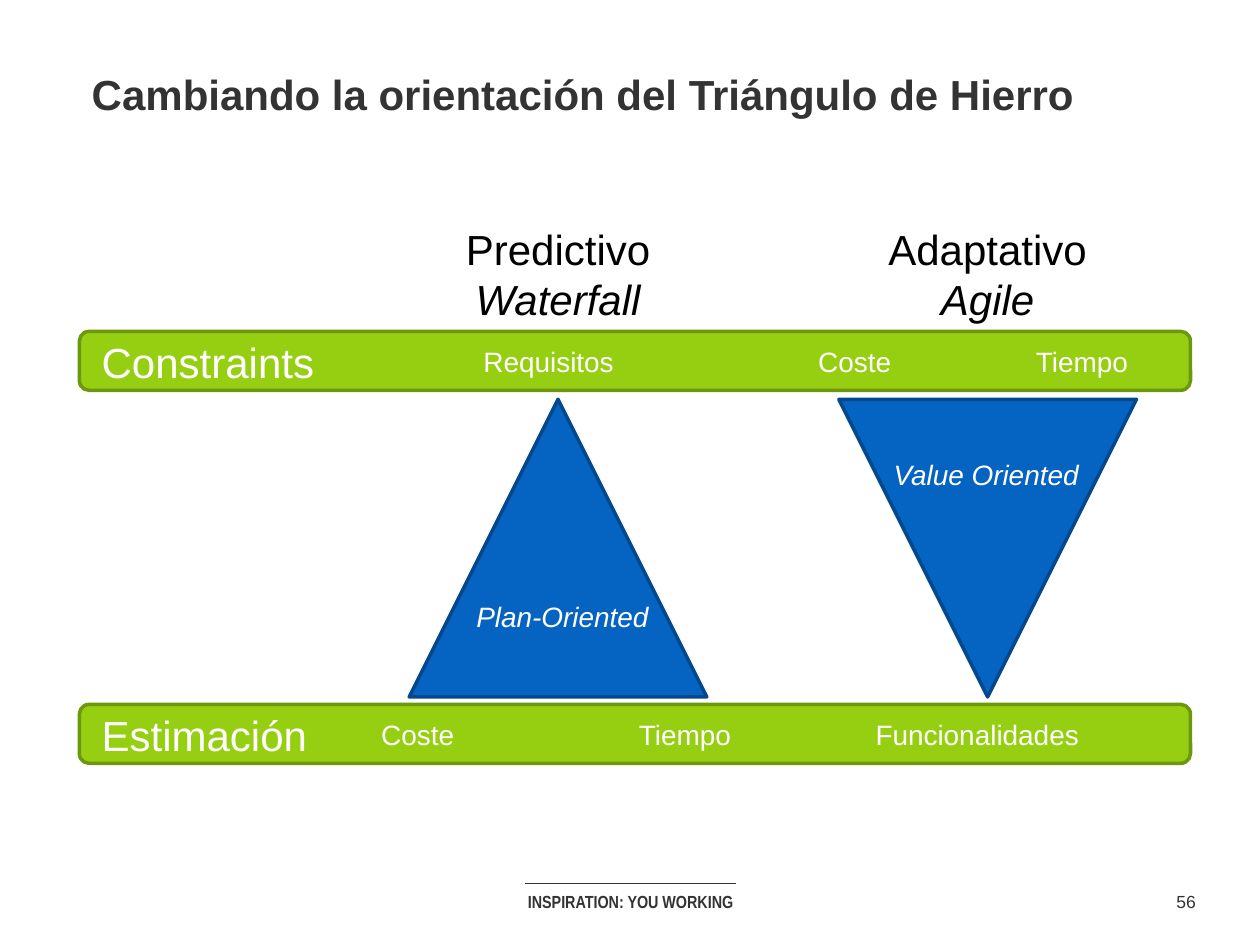
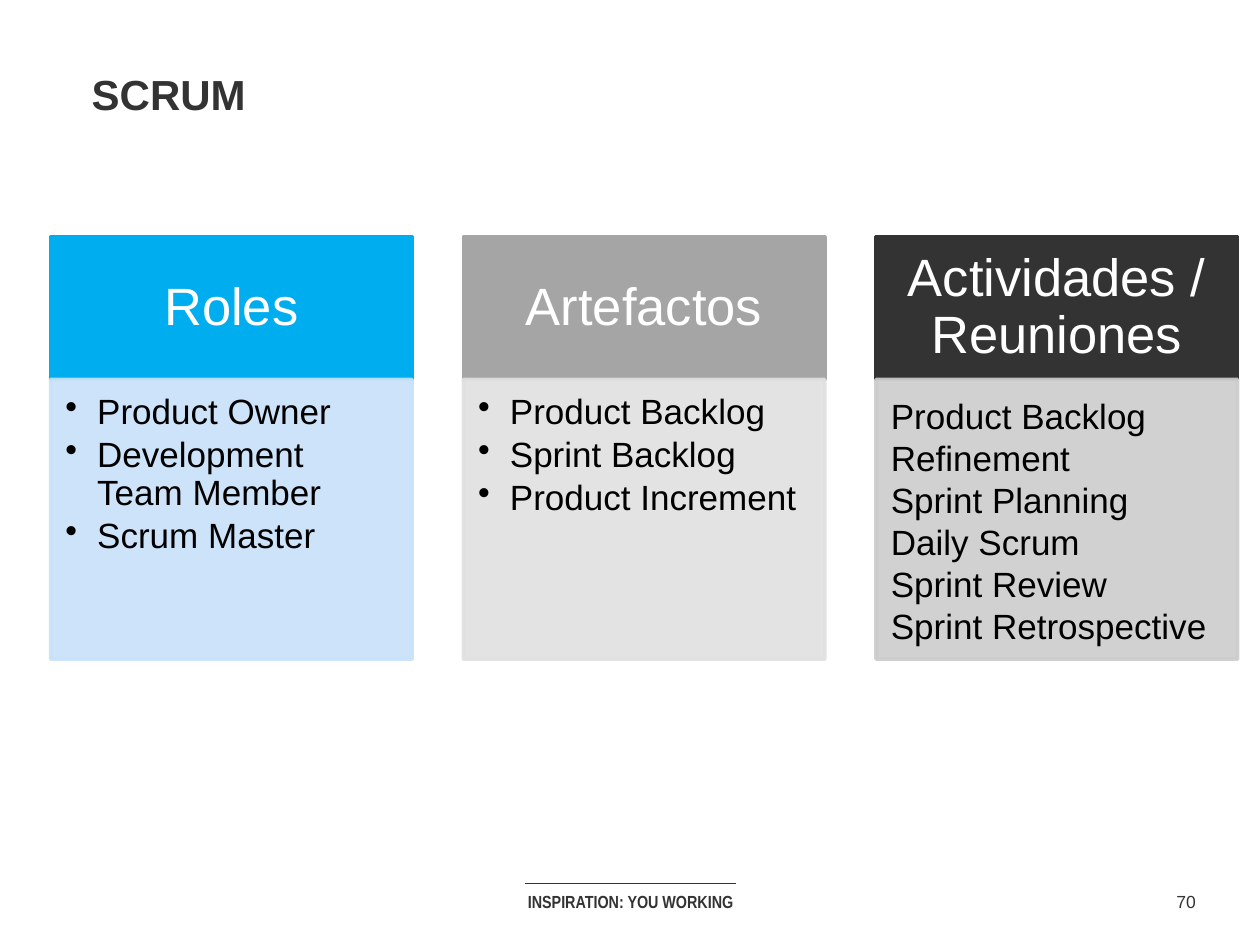
import pptx
import pptx.dml.color
import pptx.enum.shapes
import pptx.enum.text
import pptx.oxml
import pptx.oxml.ns
import pptx.util

Cm, Pt = pptx.util.Cm, pptx.util.Pt
RGBColor = pptx.dml.color.RGBColor
SHAPE = pptx.enum.shapes.MSO_SHAPE
ALIGN = pptx.enum.text.PP_ALIGN
ANCHOR = pptx.enum.text.MSO_ANCHOR
NS = pptx.oxml.ns.nsdecls("a")

# Colours
INK = RGBColor(0x33, 0x33, 0x33)
BLACK = RGBColor(0x00, 0x00, 0x00)
WHITE = RGBColor(0xFF, 0xFF, 0xFF)
GREEN = RGBColor(0x96, 0xCF, 0x12)
DARK_GREEN = RGBColor(0x6D, 0x97, 0x0D)
BLUE = RGBColor(0x05, 0x63, 0xC1)
DARK_BLUE = RGBColor(0x03, 0x48, 0x8C)
SKY = RGBColor(0x00, 0xAD, 0xEF)
PALE_SKY = RGBColor(0xC8, 0xE1, 0xF9)
GREY = RGBColor(0xA5, 0xA5, 0xA5)
PALE_GREY = RGBColor(0xE0, 0xE0, 0xE0)
MID_GREY = RGBColor(0xCC, 0xCC, 0xCC)

# Content; lengths in cm
FOOTER = "INSPIRATION: YOU WORKING"

TRIANGLE_TITLE, TRIANGLE_PAGE = "Cambiando la orientación del Triángulo de Hierro", 56
BARS = [  # name, top, labels as (text, centre, width)
    ("Constraints", 6.68, [("Requisitos", 11.06, 3.28), ("Coste", 17.23, 2.06),
                           ("Tiempo", 21.81, 2.46)]),
    ("Estimación", 14.2, [("Coste", 8.42, 2.06), ("Tiempo", 13.81, 2.46),
                          ("Funcionalidades", 19.7, 4.75)]),
]
APPROACHES = [  # heading, method, centre, rotation, orientation as (text, centre, top)
    ("Predictivo", "Waterfall", 11.25, 0, ("Plan-Oriented", 11.34, 11.96)),
    ("Adaptativo", "Agile", 19.91, 180, ("Value Oriented", 19.88, 9.09)),
]

SCRUM_TITLE, SCRUM_PAGE = "SCRUM", 70
CARDS = [  # heading, colour, body colour, bulleted, items
    ("Roles", SKY, PALE_SKY, True,
     ["Product Owner", "Development Team Member", "Scrum Master"]),
    ("Artefactos", GREY, PALE_GREY, True,
     ["Product Backlog", "Sprint Backlog", "Product Increment"]),
    ("Actividades / Reuniones", INK, MID_GREY, False,
     ["Product Backlog Refinement", "Sprint Planning", "Daily Scrum",
      "Sprint Review", "Sprint Retrospective"]),
]

# Sizes in cm
BAR_LEFT, BAR_WIDTH, BAR_HEIGHT = 1.6, 22.4, 1.19
LABEL_HEIGHT = 0.94
TRIANGLE_TOP, TRIANGLE_SIZE = 8.05, 6
CARD_LEFT, CARD_TOP, CARD_WIDTH, CARD_STEP = 1.02, 4.78, 7.29, 8.32
HEAD_HEIGHT, BODY_HEIGHT = 2.87, 5.64


def write(frame, lines, size=16, color=WHITE, font="Arial", bold=False, italics=(),
          align=ALIGN.CENTER, anchor=ANCHOR.TOP, insets=(0.25, 0.13, 0.25, 0.13),
          wrap=True, spacing=None, gap=0, bullet=False):
    """Fill a text frame, one paragraph a line; italics lists the slanted lines."""
    frame.word_wrap = wrap
    frame.vertical_anchor = anchor
    (frame.margin_left, frame.margin_top,
     frame.margin_right, frame.margin_bottom) = map(Cm, insets)
    for index, line in enumerate(lines):
        paragraph = frame.paragraphs[0] if index == 0 else frame.add_paragraph()
        paragraph.alignment = align
        if spacing:
            paragraph.line_spacing = spacing
        if index and gap:
            paragraph.space_before = Pt(gap)
        if bullet:
            properties = paragraph._p.get_or_add_pPr()
            properties.set("marL", str(Cm(0.64)))
            properties.set("indent", str(-Cm(0.64)))
            properties.append(pptx.oxml.parse_xml(f'<a:buChar {NS} char="•"/>'))
        run = paragraph.add_run()
        run.text = line
        run.font.name, run.font.size, run.font.bold = font, Pt(size), bold
        run.font.italic = index in italics
        run.font.color.rgb = color


def add_text(slide, left, top, width, height, *lines, **style):
    box = slide.shapes.add_textbox(Cm(left), Cm(top), Cm(width), Cm(height))
    write(box.text_frame, lines, **style)


def add_label(slide, text, centre, top, width, **style):
    add_text(slide, centre - width / 2, top, width, LABEL_HEIGHT, text,
             wrap=False, **style)


def add_block(slide, kind, left, top, width, height, fill, line, opacity=100):
    block = slide.shapes.add_shape(kind, Cm(left), Cm(top), Cm(width), Cm(height))
    block.shadow.inherit = False
    block.fill.solid()
    block.fill.fore_color.rgb = fill
    block.line.color.rgb = line
    block.line.width = Pt(2)
    if opacity < 100:
        for color in block._element.spPr.iter(pptx.oxml.ns.qn("a:srgbClr")):
            color.append(pptx.oxml.parse_xml(f'<a:alpha {NS} val="{opacity * 1000}"/>'))
    return block


def add_slide(deck, title, page):
    """Blank slide with the shared title, footer and page number."""
    slide = deck.slides.add_slide(deck.slide_layouts[6])
    add_text(slide, 9.32, 17.83, 6.78, 0.69, FOOTER, size=10, color=INK,
             font="Arial Narrow", bold=True)
    rule = slide.shapes.add_connector(pptx.enum.shapes.MSO_CONNECTOR.STRAIGHT,
                                      Cm(10.59), Cm(17.81), Cm(14.83), Cm(17.81))
    rule.line.color.rgb = INK
    rule.line.width = Pt(0.75)
    rule._element.spPr.append(pptx.oxml.parse_xml(f"<a:effectLst {NS}/>"))
    add_text(slide, 23.44, 17.83, 0.94, 0.69, str(page), size=10, color=INK, wrap=False)
    add_text(slide, 1.6, 1.14, 22.23, 1.55, title, size=24, color=INK, bold=True,
             align=ALIGN.LEFT, insets=(0.25,) * 4)
    return slide


def build_triangles(deck):
    slide = add_slide(deck, TRIANGLE_TITLE, TRIANGLE_PAGE)
    # Green bars with their labels
    for name, top, labels in BARS:
        add_block(slide, SHAPE.ROUNDED_RECTANGLE, BAR_LEFT, top, BAR_WIDTH, BAR_HEIGHT,
                  GREEN, DARK_GREEN)
        add_text(slide, BAR_LEFT + 0.2, top - 0.03, 4.85, 1.27, name, size=24,
                 align=ALIGN.LEFT)
        for text, centre, width in labels:
            add_label(slide, text, centre, top + 0.13, width)
    # Headings and triangles
    for heading, method, centre, rotation, (text, text_centre, text_top) in APPROACHES:
        triangle = add_block(slide, SHAPE.ISOSCELES_TRIANGLE, centre - TRIANGLE_SIZE / 2,
                             TRIANGLE_TOP, TRIANGLE_SIZE, TRIANGLE_SIZE, BLUE, DARK_BLUE)
        triangle.rotation = rotation
        add_text(slide, centre - 2.3, 4.37, 4.6, 2.31, heading, method, size=24,
                 color=BLACK, italics=[1])
        add_label(slide, text, text_centre, text_top, 4.3, italics=[0])


def build_scrum(deck):
    slide = add_slide(deck, SCRUM_TITLE, SCRUM_PAGE)
    for index, (heading, color, body_color, bulleted, items) in enumerate(CARDS):
        left = CARD_LEFT + index * CARD_STEP
        head = add_block(slide, SHAPE.RECTANGLE, left, CARD_TOP, CARD_WIDTH, HEAD_HEIGHT,
                         color, color)
        write(head.text_frame, [heading], size=30, anchor=ANCHOR.MIDDLE, spacing=0.9,
              insets=(0.58, 0.33, 0.58, 0.33))
        body = add_block(slide, SHAPE.RECTANGLE, left, CARD_TOP + HEAD_HEIGHT, CARD_WIDTH,
                         BODY_HEIGHT, body_color, body_color, opacity=90)
        write(body.text_frame, items, size=20, color=BLACK, align=ALIGN.LEFT,
              insets=(0.3, 0.3, 0.41, 0.43), bullet=bulleted,
              spacing=0.9 if bulleted else None, gap=3 if bulleted else 0)


def main():
    deck = pptx.Presentation()
    deck.slide_width, deck.slide_height = Cm(25.4), Cm(19.05)
    build_triangles(deck)
    build_scrum(deck)
    deck.save("out.pptx")


if __name__ == "__main__":
    main()
